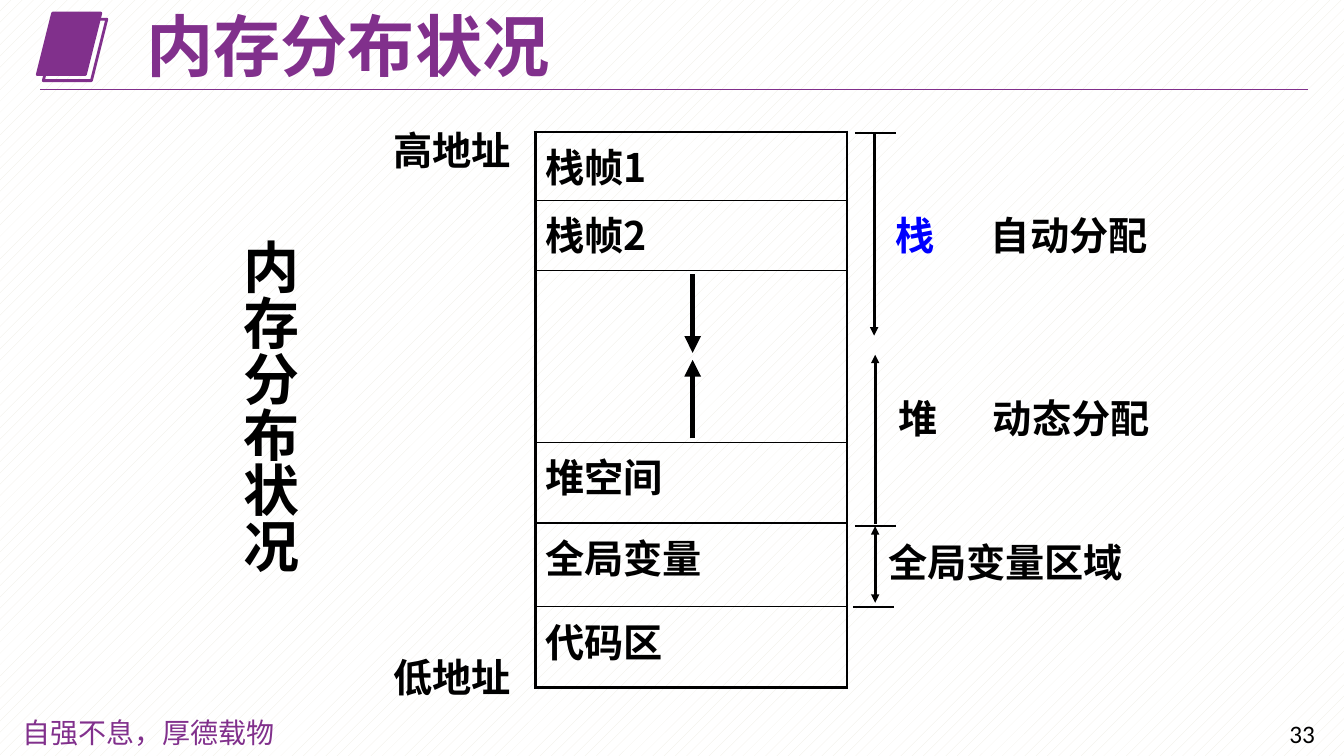
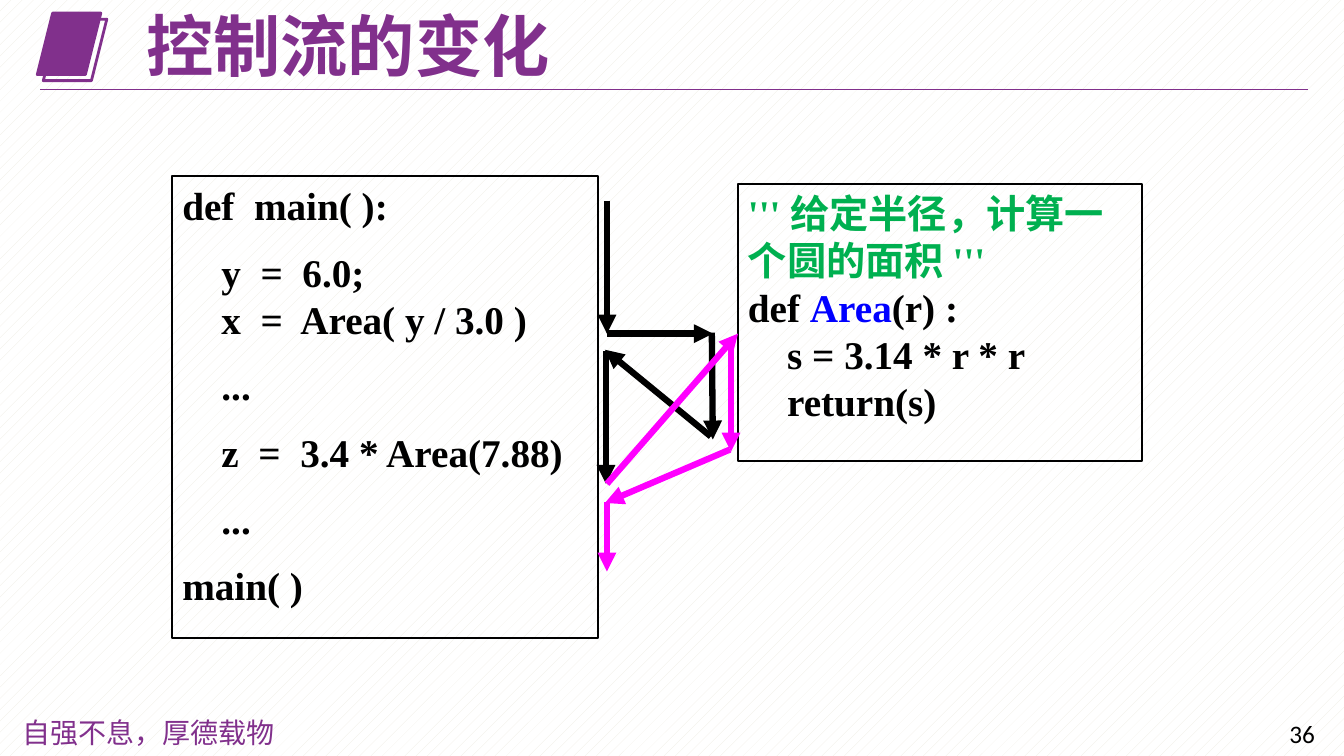
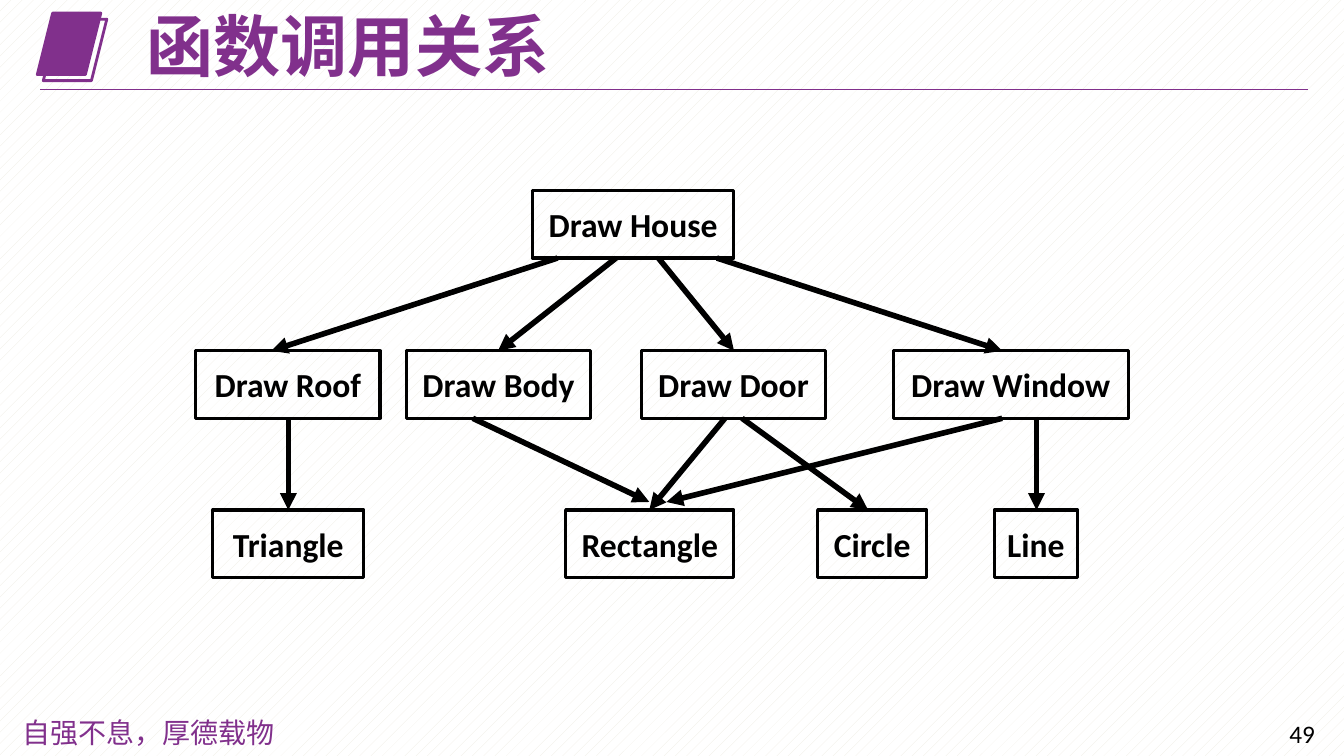
import pptx
import pptx.util
import pptx.dml.color
import pptx.enum.dml
import pptx.enum.shapes
import pptx.enum.text
import pptx.oxml.ns
from lxml import etree

SCALE = 9144
COLORS = {
    "purple": "81308C",
    "ink": "000000",
    "blue": "0000FF",
    "green": "00B050",
    "magenta": "FF00FF",
    "hatch": "EEECE1",
    "paper": "FFFFFF",
}
SANS, SERIF = "Calibri", "Times New Roman"
CJK, FOOTER_FONT = "Noto Sans CJK SC", "Noto Sans CJK JP"
SHAPE = pptx.enum.shapes.MSO_SHAPE
ANCHOR = pptx.enum.text.MSO_ANCHOR
ALIGN = pptx.enum.text.PP_ALIGN


def px(*lengths):
    """Turn px lengths into EMU."""
    return [round(length * SCALE) for length in lengths]


def rgb(name):
    """Look up a palette colour."""
    return pptx.dml.color.RGBColor.from_string(COLORS[name])


def sub(parent, tag, **attributes):
    """Append a drawing element to a parent."""
    return etree.SubElement(parent, pptx.oxml.ns.qn("a:" + tag), **attributes)


def add_run(paragraph, text, size, font=SANS, color="ink", bold=True):
    """Add one formatted run."""
    run = paragraph.add_run()
    run.text = text
    run.font.size = pptx.util.Pt(size)
    run.font.bold = bold
    run.font.color.rgb = rgb(color)
    run.font.name = font
    east_asian = font if font in (CJK, FOOTER_FONT) else CJK
    sub(run.font._element, "ea", typeface=east_asian)


def add_label(slide, box, text, size, **style):
    """Add a one-line text box."""
    frame = slide.shapes.add_textbox(*px(*box)).text_frame
    frame.word_wrap = True
    frame.vertical_anchor = ANCHOR.MIDDLE
    add_run(frame.paragraphs[0], text, size, **style)
    return frame


def add_outline(slide, kind, box, weight, color="ink"):
    """Add an unfilled preset shape."""
    outline = slide.shapes.add_shape(kind, *px(*box))
    outline.shadow.inherit = False
    outline.fill.background()
    outline.line.color.rgb = rgb(color)
    outline.line.width = pptx.util.Pt(weight)
    return outline


def add_line(slide, start, end, weight, color="ink", arrows=("tailEnd",)):
    """Add a straight line with the given arrowheads."""
    line = slide.shapes.add_connector(
        pptx.enum.shapes.MSO_CONNECTOR.STRAIGHT, *px(*start, *end))
    line.line.color.rgb = rgb(color)
    line.line.width = pptx.util.Pt(weight)
    for arrow in arrows:
        sub(line.line._get_or_add_ln(), arrow, type="triangle")
    sub(line._element.spPr, "effectLst")


def add_base(prs, title, number):
    """Add a slide with the shared title, mark, rule and footer."""
    slide = prs.slides.add_slide(prs.slide_layouts[5])
    heading = slide.shapes.title
    heading.left, heading.top, heading.width, heading.height = px(135, 11, 790, 76)
    frame = heading.text_frame
    frame.vertical_anchor = ANCHOR.MIDDLE
    frame.auto_size = pptx.enum.text.MSO_AUTO_SIZE.NONE
    paragraph = frame.paragraphs[0]
    paragraph.alignment = ALIGN.LEFT
    paragraph.line_spacing = 0.9
    add_run(paragraph, title, 48, CJK, "purple")

    front, back = [
        add_outline(slide, SHAPE.PARALLELOGRAM, (37 + step, 13 + step, 63, 61), 2, "purple")
        for step in (0, 6)]
    front.fill.solid()
    front.fill.fore_color.rgb = rgb("purple")
    add_line(slide, (40, 89), (1297, 89), 0.75, "purple", ())
    add_label(slide, (12, 704, 278, 44), "自强不息，厚德载物", 20,
              font=FOOTER_FONT, color="purple", bold=False)
    add_label(slide, (1269, 708, 61, 40), str(number), 18, bold=False)
    return slide


def add_memory_table(slide, left, top, width):
    """Draw the memory regions from high to low address."""
    regions = [("栈帧1", 68), ("栈帧2", 69), ("", 171),
               ("堆空间", 80), ("全局变量", 83), ("代码区", 80)]
    height = sum(row_height for _, row_height in regions)
    table = slide.shapes.add_table(
        len(regions), 1, *px(left, top, width, height)).table
    table.first_row = table.horz_banding = False
    last = len(regions) - 1
    for index, (region, row_height) in enumerate(regions):
        table.rows[index].height = px(row_height)[0]
        cell = table.cell(index, 0)
        properties = cell._tc.get_or_add_tcPr()
        weights = {"lnL": 2.25, "lnR": 2.25,
                   "lnT": 2.25 if index == 0 else 1,
                   "lnB": 2.25 if index == last else 1}
        for side, weight in weights.items():
            border = sub(properties, side, w=str(pptx.util.Pt(weight)))
            sub(sub(border, "solidFill"), "srgbClr", val=COLORS["ink"])
        cell.fill.background()
        if region:
            add_run(cell.text_frame.paragraphs[0], region, 28, CJK)
    middle = left + width // 2 + 2
    add_line(slide, (middle, top + 304), (middle, top + 226), 4)
    add_line(slide, (middle, top + 141), (middle, top + 219), 4)


def add_allocation_spans(slide, left, top):
    """Mark the stack, heap and global spans beside the table."""
    both = ("headEnd", "tailEnd")
    for x, y in ((2, 0), (2, 390), (0, 470)):
        add_line(slide, (left + x, top + y), (left + x + 41, top + y), 1.5, arrows=())
    for x, start, end, arrows in ((21, 0, 201, both[1:]),
                                  (22, 388, 220, both[1:]),
                                  (22, 390, 466, both)):
        add_line(slide, (left + x, top + start), (left + x, top + end), 2, arrows=arrows)
    for text, x, y, width, color in (("栈", 32, 72, 59, "blue"),
                                     ("自动分配", 127, 72, 176, "ink"),
                                     ("堆", 35, 254, 59, "ink"),
                                     ("动态分配", 129, 254, 176, "ink"),
                                     ("全局变量区域", 25, 397, 255, "ink")):
        add_label(slide, (left + x, top + y, width, 57), text, 28, color=color)


def build_memory_slide(prs):
    """Build the memory layout slide."""
    slide = add_base(prs, "内存分布状况", 33)
    add_memory_table(slide, 531, 131, 309)
    for text, top in (("低地址", 643), ("高地址", 120)):
        add_label(slide, (380, top, 147, 57), text, 28, font=SERIF)
    add_allocation_spans(slide, 846, 132)
    caption = add_label(slide, (224, 237, 87, 345), "内存分布状况", 40, font=SERIF)
    caption.margin_left = caption.margin_right = 0
    caption.margin_top = caption.margin_bottom = 0
    caption._txBody.bodyPr.set("vert", "eaVert")


def add_code(slide, box, lines):
    """Draw a framed listing of (space before, runs) lines."""
    frame = add_outline(slide, SHAPE.RECTANGLE, box, 1.5).text_frame
    frame.word_wrap = True
    frame.vertical_anchor = ANCHOR.TOP
    for index, (gap, runs) in enumerate(lines):
        paragraph = frame.add_paragraph() if index else frame.paragraphs[0]
        paragraph.alignment = ALIGN.LEFT
        paragraph.line_spacing = pptx.util.Pt(33.6)
        if gap:
            paragraph.space_before = pptx.util.Pt(gap)
        for text, color in runs:
            add_run(paragraph, text, 28, SERIF, color)


def build_control_flow_slide(prs):
    """Build the control flow slide."""
    slide = add_base(prs, "控制流的变化", 36)
    main_lines = [(0, "def  main( ):"), (14, "    y  =  6.0;"),
                  (0, "    x  =  Area( y / 3.0 )"), (14, "    ..."),
                  (14, "    z  =  3.4 * Area(7.88)"), (14, "    ..."),
                  (14, "main( )")]
    add_code(slide, (171, 175, 422, 458),
             [(gap, [(text, "ink")]) for gap, text in main_lines])
    area_lines = [[("''' 给定半径，计算一个圆的面积 '''", "green")],
                  [("def ", "ink"), ("Area", "blue"), ("(r) :", "ink")],
                  [("    s = 3.14 * r * r", "ink")],
                  [("    return(s)", "ink")]]
    add_code(slide, (732, 183, 401, 274), [(0, runs) for runs in area_lines])

    flows = {
        "ink": [((602, 199), (602, 331)), ((602, 331), (707, 331)),
                ((706, 330), (707, 436)), ((705, 433), (600, 347)),
                ((601, 348), (601, 480))],
        "magenta": [((602, 480), (732, 331)), ((725, 342), (725, 448)),
                    ((724, 446), (600, 499)), ((602, 498), (602, 567))],
    }
    for color, steps in flows.items():
        for start, end in steps:
            add_line(slide, start, end, 4.5, color)


def add_call_tree(slide, left, top):
    """Draw the levels of functions and the calls between them."""
    height = 67
    level_tops = [top, top + 159, top + 317]
    levels = [
        [("Draw House", 334, 200)],
        [("Draw Roof", 0, 183), ("Draw Body", 209, 183),
         ("Draw Door", 442, 183), ("Draw Window", 692, 233)],
        [("Triangle", 17, 150), ("Rectangle", 367, 167),
         ("Circle", 617, 108), ("Line", 792, 83)],
    ]
    for level_top, functions in zip(level_tops, levels):
        for name, x, width in functions:
            frame = add_outline(slide, SHAPE.RECTANGLE,
                                (left + x, level_top, width, height), 2.25).text_frame
            frame.word_wrap = False
            frame.vertical_anchor = ANCHOR.MIDDLE
            frame.paragraphs[0].alignment = ALIGN.CENTER
            add_run(frame.paragraphs[0], name, 24)

    calls = [
        [(359, 75, 0), (417, 300, 0), (459, 534, 0), (517, 800, 0)],
        [(92, 92, 0), (275, 450, 8), (525, 450, 0),
         (542, 667, 0), (800, 467, 8), (834, 834, 0)],
    ]
    for level, arrows in enumerate(calls):
        for start, end, rise in arrows:
            add_line(slide, (left + start, level_tops[level] + height),
                     (left + end, level_tops[level + 1] - rise), 4)


def build_call_slide(prs):
    """Build the function call slide."""
    add_call_tree(add_base(prs, "函数调用关系", 49), 194, 189)


def main():
    """Build and save the presentation."""
    prs = pptx.Presentation()
    prs.slide_width, prs.slide_height = px(1333, 750)
    backdrop = prs.slide_master.background.fill
    backdrop.patterned()
    backdrop.pattern = pptx.enum.dml.MSO_PATTERN.PERCENT_10
    backdrop.fore_color.rgb = rgb("hatch")
    backdrop.back_color.rgb = rgb("paper")
    build_memory_slide(prs)
    build_control_flow_slide(prs)
    build_call_slide(prs)
    prs.save("out.pptx")


if __name__ == "__main__":
    main()
